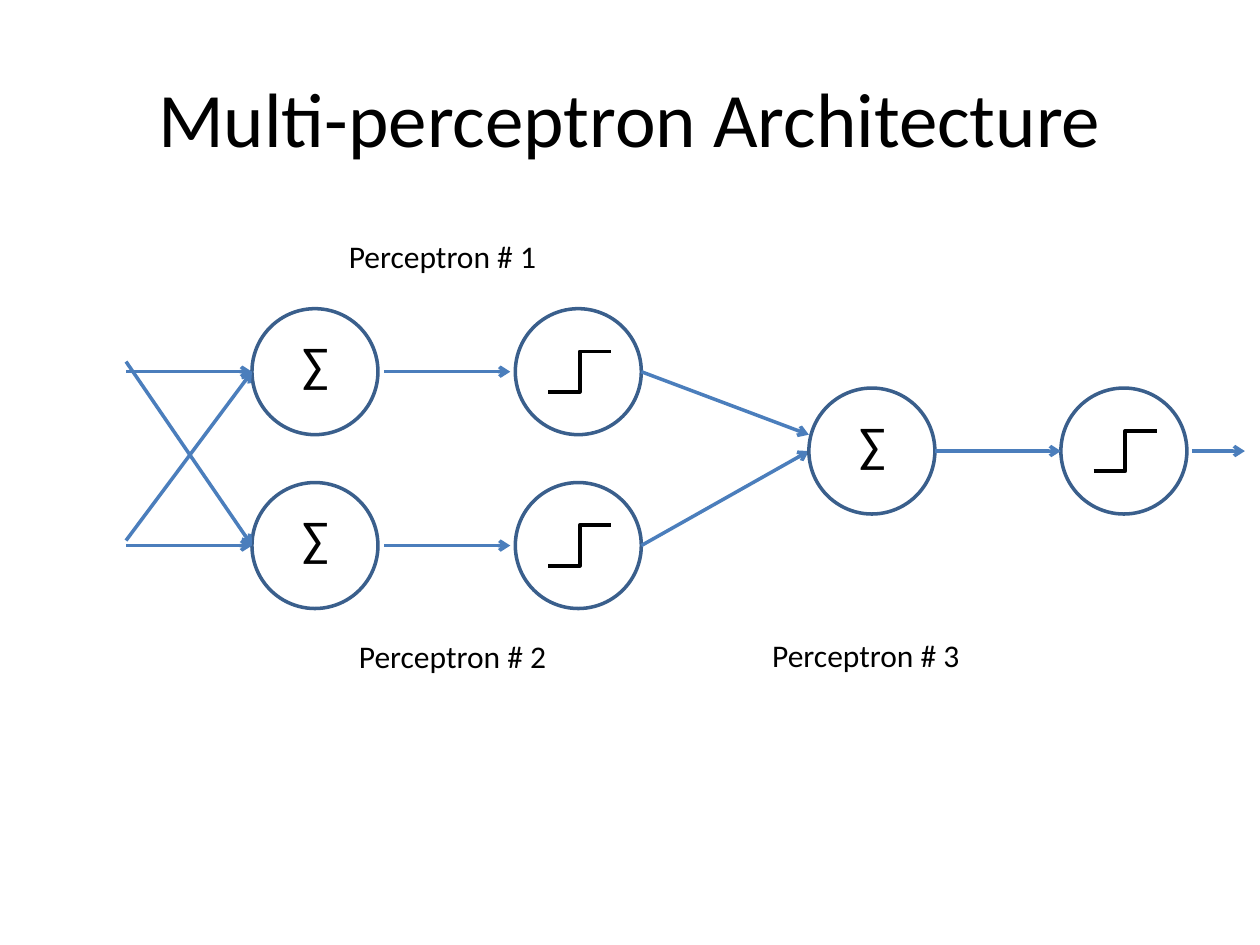
"""Build a slide with a network of three perceptrons."""
from lxml.etree import SubElement
from pptx import Presentation
from pptx.dml.color import RGBColor
from pptx.enum.shapes import MSO_CONNECTOR as Connector, MSO_SHAPE as Shape
from pptx.enum.text import MSO_ANCHOR as Anchor, PP_ALIGN as Align
from pptx.oxml.ns import qn
from pptx.util import Inches, Pt

CELL = Inches(1)
COLUMNS, ROWS = 10, 7.5
TOP_ROW, MIDDLE_ROW, BOTTOM_ROW = 2.95, 3.58, 4.33
INPUT, SUM, STEP = 1, 2.5, 4.59
OUTPUT_SUM, OUTPUT_STEP = 6.92, 8.92
RADIUS = 0.5
BLACK, WHITE, OUTLINE, ARROW = "000000", "FFFFFF", "3A5F8C", "4B7EBC"


def grid(*lengths):
    return [round(length * CELL) for length in lengths]


def color(hex_string):
    return RGBColor.from_string(hex_string)


def write(text_frame, text, size):
    run = text_frame.paragraphs[0].add_run()
    run.text = text
    run.font.name = "Calibri"
    run.font.size = Pt(size)
    run.font.color.rgb = color(BLACK)


def add_title(slide, text):
    title = slide.shapes.title
    title.left, title.top, title.width, title.height = grid(0.5, 0.3, 9, 1.25)
    title.text_frame.vertical_anchor = Anchor.MIDDLE
    title.text_frame.paragraphs[0].alignment = Align.CENTER
    write(title.text_frame, text, 44)


def add_label(slide, text, size, left, top, width, height):
    box = slide.shapes.add_textbox(*grid(left, top, width, height))
    box.text_frame.word_wrap = True
    write(box.text_frame, text, size)


def add_line(slide, kind, start, end, hex_string, width):
    line = slide.shapes.add_connector(kind, *grid(*start, *end))
    line.line.color.rgb = color(hex_string)
    line.line.width = Pt(width)
    SubElement(line._element.spPr, qn("a:effectLst"))
    return line


def add_arrow(slide, start, end):
    arrow = add_line(slide, Connector.STRAIGHT, start, end, ARROW, 2)
    SubElement(arrow.line._get_or_add_ln(), qn("a:tailEnd"), type="arrow")


def add_circle(slide, x, y):
    circle = slide.shapes.add_shape(
        Shape.OVAL, *grid(x - RADIUS, y - RADIUS, 2 * RADIUS, 2 * RADIUS))
    circle.shadow.inherit = False
    circle.fill.solid()
    circle.fill.fore_color.rgb = color(WHITE)
    circle.line.color.rgb = color(OUTLINE)
    circle.line.width = Pt(2)


def add_sum_node(slide, x, y):
    add_circle(slide, x, y)
    add_label(slide, "∑", 28, x - 0.2, y - 0.35, 0.41, 0.57)


def add_step_node(slide, x, y):
    add_circle(slide, x, y)
    add_line(slide, Connector.ELBOW, (x - 0.24, y + 0.16), (x + 0.26, y - 0.16),
             BLACK, 2.25)


def main():
    presentation = Presentation()
    presentation.slide_width, presentation.slide_height = grid(COLUMNS, ROWS)
    slide = presentation.slides.add_slide(presentation.slide_layouts[5])
    add_title(slide, "Multi-perceptron Architecture")

    for row, target_row in ((TOP_ROW, 3.45), (BOTTOM_ROW, MIDDLE_ROW)):
        add_sum_node(slide, SUM, row)
        add_step_node(slide, STEP, row)
        add_arrow(slide, (INPUT, row), (SUM - RADIUS, row))
        add_arrow(slide, (3.05, row), (4.05, row))
        add_arrow(slide, (STEP + RADIUS, row), (OUTPUT_SUM - RADIUS, target_row))

    add_sum_node(slide, OUTPUT_SUM, MIDDLE_ROW)
    add_step_node(slide, OUTPUT_STEP, MIDDLE_ROW)
    add_arrow(slide, (OUTPUT_SUM + RADIUS, MIDDLE_ROW),
              (OUTPUT_STEP - RADIUS, MIDDLE_ROW))
    add_arrow(slide, (9.46, MIDDLE_ROW), (9.88, MIDDLE_ROW))

    for start_row, end_row in ((2.87, BOTTOM_ROW), (4.29, TOP_ROW)):
        add_arrow(slide, (INPUT, start_row), (SUM - RADIUS, end_row))

    for number, (left, top) in enumerate(((2.67, 1.83), (2.75, 5.01), (6.03, 5)), 1):
        add_label(slide, f"Perceptron # {number}", 18, left, top, 1.89, 0.4)

    presentation.save("out.pptx")


if __name__ == "__main__":
    main()
